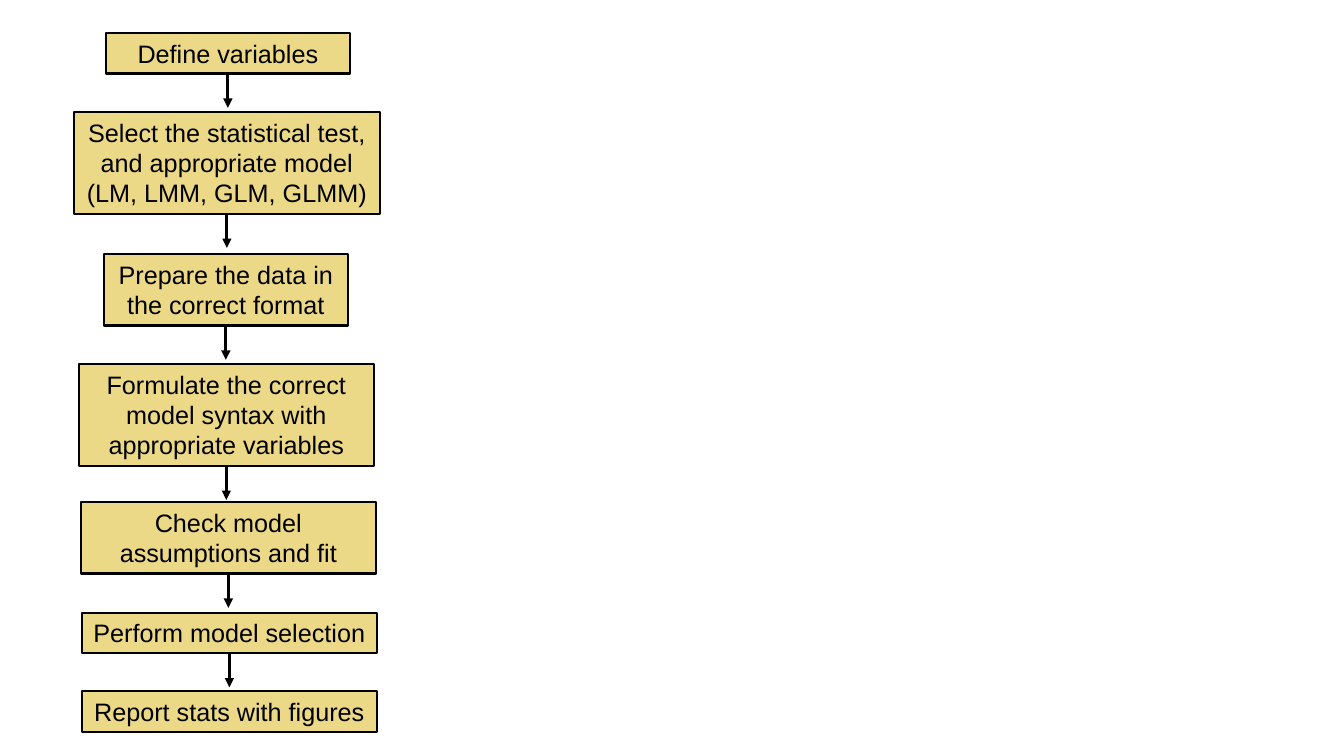
from pptx import Presentation
from pptx.dml.color import RGBColor
from pptx.enum.shapes import MSO_CONNECTOR as Connector, MSO_SHAPE as Shape
from pptx.enum.text import MSO_ANCHOR as Anchor, MSO_AUTO_SIZE as AutoSize, PP_ALIGN as Align
from pptx.oxml.ns import qn
from pptx.util import Pt
from lxml.etree import SubElement

PX = 9144
SLIDE_SIZE = (1333, 750)
ARROW_LENGTH = 34
BOTTOM = 2
BOX_FILL, INK = "ECD988", "000000"
FONT = {"name": "Arial", "size": Pt(18)}
FRAME = {"word_wrap": True, "auto_size": AutoSize.SHAPE_TO_FIT_TEXT, "vertical_anchor": Anchor.TOP}

STEPS = [
    ("Define variables", (105, 33, 242, 40)),
    ("Select the statistical test, and appropriate model (LM, LMM, GLM, GLMM)", (73, 111, 304, 101)),
    ("Prepare the data in the correct format", (103, 252, 242, 71)),
    ("Formulate the correct model syntax with appropriate variables", (78, 361, 293, 101)),
    ("Check model assumptions and fit", (80, 498, 293, 71)),
    ("Perform model selection", (81, 608, 293, 40)),
    ("Report stats with figures", (81, 686, 293, 40)),
]


def color(value):
    """Turn a hex string into a colour."""
    return RGBColor.from_string(value)


def set_values(target, values):
    """Set every attribute named in a dict."""
    for name, value in values.items():
        setattr(target, name, value)


def set_line(line, width):
    """Give a line the ink colour and a width in points."""
    line.color.rgb = color(INK)
    line.width = Pt(width)


def add_step(slide, text, place):
    """Add one box of the flow chart."""
    shape = slide.shapes.add_shape(Shape.RECTANGLE, *(value * PX for value in place))
    shape.shadow.inherit = False
    shape.fill.solid()
    shape.fill.fore_color.rgb = color(BOX_FILL)
    set_line(shape.line, 1.5)
    set_values(shape.text_frame, FRAME)
    paragraph = shape.text_frame.paragraphs[0]
    paragraph.alignment = Align.CENTER
    run = paragraph.add_run()
    run.text = text
    set_values(run.font, FONT)
    run.font.color.rgb = color(INK)
    return shape


def add_arrow(slide, box):
    """Add an arrow pointing down from the bottom of a box."""
    x, y = box.left + box.width // 2, box.top + box.height
    arrow = slide.shapes.add_connector(Connector.STRAIGHT, x, y, x, y + ARROW_LENGTH * PX)
    arrow.begin_connect(box, BOTTOM)
    set_line(arrow.line, 2.25)
    SubElement(arrow.line._get_or_add_ln(), qn("a:tailEnd"), type="triangle")
    SubElement(arrow._element.spPr, qn("a:effectLst"))


def main():
    """Build the flow chart slide and save it."""
    presentation = Presentation()
    presentation.slide_width, presentation.slide_height = (value * PX for value in SLIDE_SIZE)
    slide = presentation.slides.add_slide(presentation.slide_layouts[6])
    boxes = [add_step(slide, text, place) for text, place in STEPS]
    for box in boxes[:-1]:
        add_arrow(slide, box)
    presentation.save("out.pptx")


if __name__ == "__main__":
    main()
